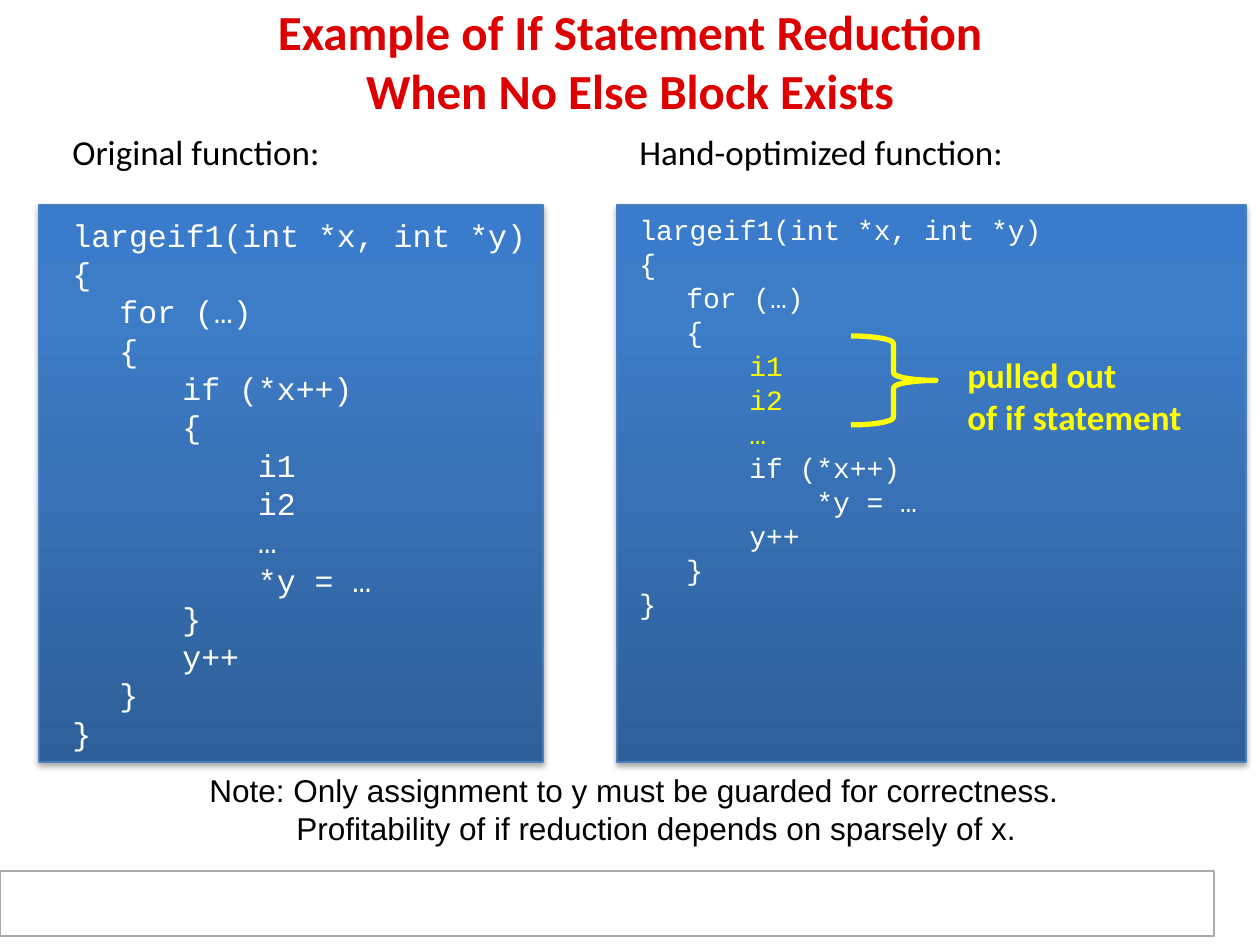
from lxml import etree
from pptx import Presentation
from pptx import util as u
from pptx.dml.color import RGBColor
from pptx.enum import shapes, text
from pptx.oxml import ns, parse_xml

EMU_PER_PX = 914400 / 126
COLORS = {
    "title": "DE0000", "ink": "000000", "paper": "FFFFFF", "accent": "FFFF00",
    "panel_edge": "4B7EBC", "footer_edge": "AAAAAA",
}
PANEL_STOPS = {0: "2F5F99", 80: "3D7CC7", 100: "3A7CCB"}
CODE_INDENT = 47

ORIGINAL_CODE = """largeif1(int *x, int *y)
{
\tfor (…)
\t{
\t\tif (*x++)
\t\t{
\t\t    i1
\t\t    i2
\t\t    …
\t\t    *y = …
\t\t}
\t\ty++
\t}
}""".split("\n")

OPTIMIZED_CODE = """largeif1(int *x, int *y)
{
\tfor (…)
\t{
\t\ti1
\t\ti2
\t\t…
\t\tif (*x++)
\t\t    *y = …
\t\ty++
\t}
}""".split("\n")
PULLED_OUT = range(4, 7)


def px(value):
    return u.Emu(round(value * EMU_PER_PX))


def color(name):
    return RGBColor.from_string(COLORS[name])


def add_text(page, area, lines, ink, wrap=True, **font):
    """Add a text box with one paragraph per line and return its paragraphs."""
    box = page.shapes.add_textbox(*map(px, area))
    frame = box.text_frame
    frame.word_wrap = wrap
    for number, line in enumerate(lines):
        para = frame.paragraphs[0] if number == 0 else frame.add_paragraph()
        para.text = line
        for span in para.runs:
            for key, value in font.items():
                setattr(span.font, key, value)
            span.font.color.rgb = color(ink)
    return frame.paragraphs


def add_shape(page, kind, area, edge, weight, fill=None):
    shape = page.shapes.add_shape(kind, *map(px, area))
    shape.shadow.inherit = False
    if fill:
        shape.fill.solid()
        shape.fill.fore_color.rgb = color(fill)
    else:
        shape.fill.background()
    shape.line.color.rgb = color(edge)
    shape.line.width = u.Pt(weight)
    return shape


def add_panel(page, area):
    """Add a code panel with an upward gradient and a soft shadow."""
    panel = add_shape(page, shapes.MSO_SHAPE.RECTANGLE, area, "panel_edge", 0.75)
    props = panel.element.spPr
    stops = "".join(
        f'<a:gs pos="{place * 1000}"><a:srgbClr val="{shade}"/></a:gs>'
        for place, shade in PANEL_STOPS.items())
    gradient = parse_xml(
        f'<a:gradFill {ns.nsdecls("a")} rotWithShape="1"><a:gsLst>{stops}</a:gsLst>'
        '<a:lin ang="16200000" scaled="0"/></a:gradFill>')
    props.replace(props.find(ns.qn("a:noFill")), gradient)
    shadow = etree.SubElement(
        props.find(ns.qn("a:effectLst")), ns.qn("a:outerShdw"),
        blurRad="40000", dist="23000", dir="5400000", rotWithShape="0")
    shade = etree.SubElement(shadow, ns.qn("a:srgbClr"), val=COLORS["ink"])
    etree.SubElement(shade, ns.qn("a:alpha"), val="35000")


def add_code(page, area, lines, size, gap):
    paras = add_text(page, area, lines, "paper", name="Courier New", size=u.Pt(size))
    for number, para in enumerate(paras):
        props = para._p.get_or_add_pPr()
        props.set("marL", str(px(CODE_INDENT)))
        props.set("indent", str(-px(CODE_INDENT)))
        para.line_spacing = 0.8
        if number:
            para.space_before = u.Pt(gap)
    return paras


def add_heading(page, left, words):
    paras = add_text(page, (left, 132, 557, 48), [words], "ink",
                     name="Calibri", size=u.Pt(20))
    paras[0].line_spacing = 0.8


def add_title(page, words):
    paras = add_text(page, (0, 0, 1260, 120), [words], "title",
                     name="Calibri", size=u.Pt(28), bold=True)
    paras[0].alignment = text.PP_ALIGN.CENTER
    page.shapes[-1].text_frame.vertical_anchor = text.MSO_ANCHOR.MIDDLE


def main():
    deck = Presentation()
    deck.slide_width, deck.slide_height = px(1260), px(945)
    page = deck.slides.add_slide(deck.slide_layouts[6])

    add_shape(page, shapes.MSO_SHAPE.RECTANGLE, (0, 871, 1214, 65),
              "footer_edge", 0.75, "paper")
    for left, width in ((617, 629), (39, 504)):
        add_panel(page, (left, 205, width, 557))

    add_title(page, "Example of If Statement Reduction\vWhen No Else Block Exists")
    add_heading(page, 60, "Original function:")
    add_heading(page, 627, "Hand-optimized function:")
    add_code(page, (60, 217, 557, 539), ORIGINAL_CODE, 18, 4.6)
    optimized = add_code(page, (627, 213, 557, 543), OPTIMIZED_CODE, 16, 4.1)
    for number in PULLED_OUT:
        optimized[number].runs[0].font.color.rgb = color("accent")

    note = add_text(
        page, (197, 765, 874, 88),
        ["Note: Only assignment to y must be guarded for correctness.",
         "Profitability of if reduction depends on sparsely of x."],
        "ink", wrap=False, name="Arial", size=u.Pt(18))
    note[1]._p.get_or_add_pPr().set("marL", str(px(87)))

    brace = add_shape(page, shapes.MSO_SHAPE.RIGHT_BRACE, (851, 336, 85, 89), "accent", 3)
    brace.adjustments[0] = 0.09
    add_text(page, (955, 347, 241, 97), ["pulled out", "of if statement"], "accent",
             wrap=False, name="Calibri", size=u.Pt(20), bold=True)

    deck.save("out.pptx")


if __name__ == "__main__":
    main()
